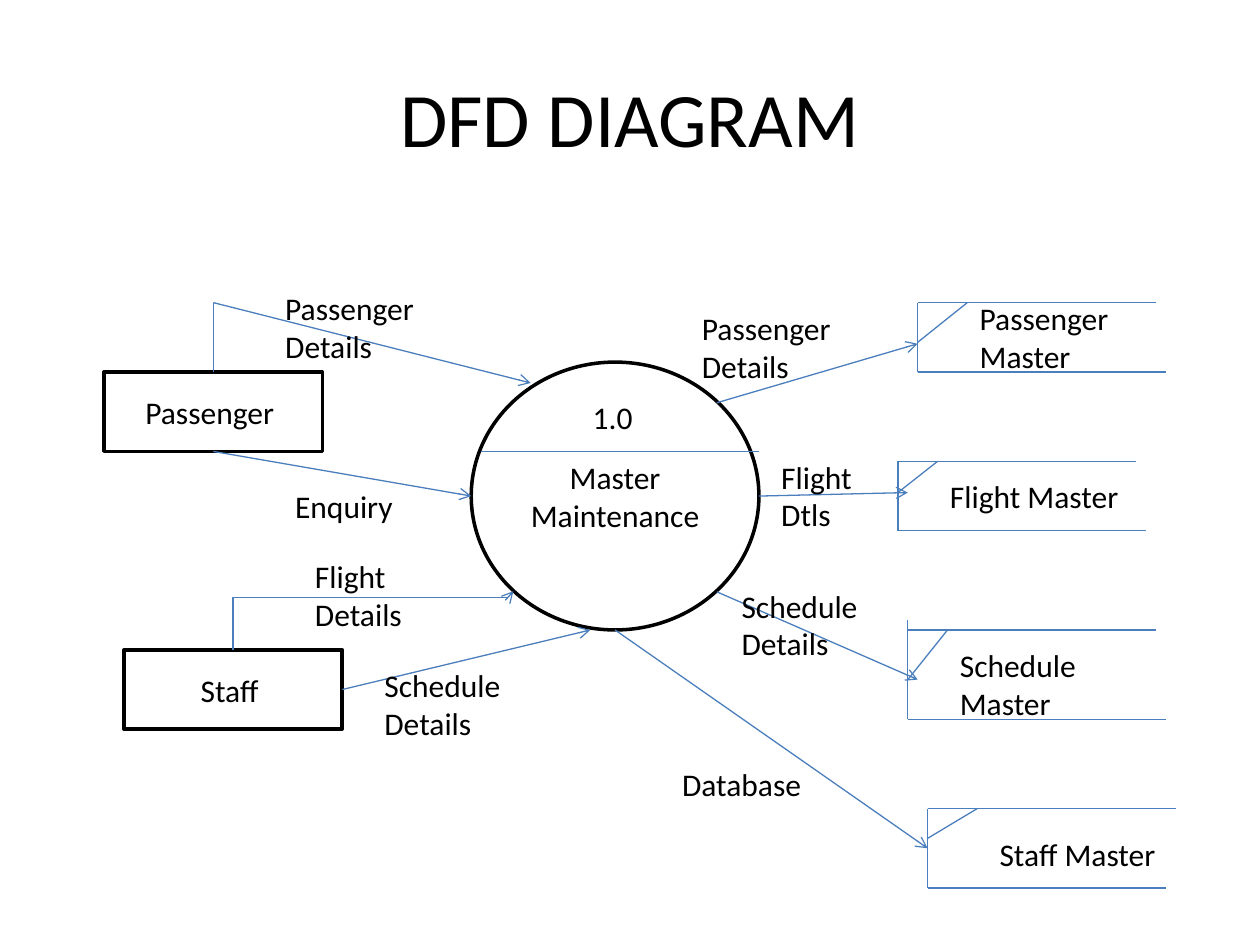
from lxml import etree
from pptx import Presentation
from pptx.dml.color import RGBColor
from pptx.enum.shapes import MSO_CONNECTOR, MSO_SHAPE
from pptx.enum.text import MSO_ANCHOR, PP_ALIGN
from pptx.oxml.ns import qn
from pptx.util import Cm, Pt

STRAIGHT, ELBOW = MSO_CONNECTOR.STRAIGHT, MSO_CONNECTOR.ELBOW
RECTANGLE, OVAL = MSO_SHAPE.RECTANGLE, MSO_SHAPE.OVAL
TOP, MIDDLE = MSO_ANCHOR.TOP, MSO_ANCHOR.MIDDLE
LEFT, CENTER = PP_ALIGN.LEFT, PP_ALIGN.CENTER
SITE_TOP, SITE_BOTTOM, SITE_RIGHT = 0, 2, 3

BLACK = RGBColor(0x00, 0x00, 0x00)
WHITE = RGBColor(0xFF, 0xFF, 0xFF)
BLUE = RGBColor(0x4B, 0x7E, 0xBC)

PASSENGER_BOX = (2.1, 7.5, 4.4, 1.6)
STAFF_BOX = (2.5, 13.1, 4.4, 1.6)
PROCESS_BOX = (9.5, 7.3, 5.8, 5.4)

STORES = [
    ((18.5, 6.1, 5.0, 1.4), 4.8, 0, (1.0, 0.8), (1.0, -0.2, 4.4, 1.8), "Passenger Master"),
    ((18.1, 9.3, 5.0, 1.4), 4.8, 0, (0.8, 0.63), (0.8, 0.2, 4.4, 1.0), "Flight Master"),
    ((18.3, 12.7, 5.2, 1.8), 5.0, 0.2, (0.8, 1.0), (0.8, 0.2, 4.8, 1.8), "Schedule Master"),
    ((18.7, 16.3, 4.8, 1.6), 5.0, 0, (1.0, 0.6), (1.2, 0.4, 4.0, 1.0), "Staff Master"),
]

FLOW_LABELS = [
    ((5.5, 5.7, 4.8, 1.8), "Passenger Details"),
    ((5.7, 9.7, 3.0, 1.0), "Enquiry"),
    ((6.1, 11.1, 3.2, 1.8), "Flight Details"),
    ((7.5, 13.3, 4.0, 1.8), "Schedule\nDetails"),
    ((13.9, 6.1, 4.0, 1.8), "Passenger\nDetails"),
    ((15.5, 9.1, 2.8, 1.8), "Flight Dtls"),
    ((14.7, 11.7, 3.0, 1.8), "Schedule\nDetails"),
    ((13.5, 15.3, 3.6, 1.0), "Database"),
]

STORE_FLOWS = [
    ((14.45, 8.12), (18.5, 6.93)),
    ((15.3, 10.0), (18.3, 9.93)),
    ((14.45, 11.93), (18.5, 13.7)),
    ((12.4, 12.7), (18.7, 17.1)),
]


def write_text(shape, text, size=18, alignment=LEFT, anchor=TOP):
    frame_format = {"word_wrap": True, "vertical_anchor": anchor, "text": text}
    for name, value in frame_format.items():
        setattr(shape.text_frame, name, value)
    for paragraph in shape.text_frame.paragraphs:
        paragraph.alignment = alignment
        for name, value in {"name": "Calibri", "size": Pt(size)}.items():
            setattr(paragraph.font, name, value)
        paragraph.font.color.rgb = BLACK


def add_label(slide, box, text, **text_format):
    label = slide.shapes.add_textbox(*map(Cm, box))
    write_text(label, text, **text_format)


def add_outlined_shape(slide, preset, box, text):
    shape = slide.shapes.add_shape(preset, *map(Cm, box))
    shape.shadow.inherit = False
    shape.fill.solid()
    shape.fill.fore_color.rgb = WHITE
    shape.line.color.rgb = BLACK
    shape.line.width = Pt(2)
    write_text(shape, text, alignment=CENTER, anchor=MIDDLE)
    return shape


def add_line(slide, start, end, arrow=False, kind=STRAIGHT):
    connector = slide.shapes.add_connector(kind, *map(Cm, start + end))
    connector.line.color.rgb = BLUE
    connector.line.width = Pt(0.75)
    properties = connector.element.spPr
    if arrow:
        outline = properties.find(qn("a:ln"))
        etree.SubElement(outline, qn("a:tailEnd"), type="arrow")
    etree.SubElement(properties, qn("a:effectLst"))
    return connector


def add_rising_elbow(slide, start, end, bend):
    center_x, center_y = (start[0] + end[0]) / 2, (start[1] + end[1]) / 2
    half_width, half_height = (start[1] - end[1]) / 2, (end[0] - start[0]) / 2
    connector = add_line(
        slide,
        (center_x + half_width, center_y + half_height),
        (center_x - half_width, center_y - half_height),
        arrow=True,
        kind=ELBOW,
    )
    properties = connector.element.spPr
    properties.find(qn("a:xfrm")).set("rot", "5400000")
    adjustments = properties.find(qn("a:prstGeom")).find(qn("a:avLst"))
    etree.SubElement(adjustments, qn("a:gd"), name="adj1", fmla=f"val {round(bend * 100000)}")


def add_process(slide, box, number, text):
    left, top, width, height = box
    add_outlined_shape(slide, OVAL, box, text)
    divider_y = top + 1.8
    add_line(slide, (left + 0.2, divider_y), (left + width, divider_y))
    add_label(slide, (left + 2.2, top + 0.6, 1.6, 1.8), number)


def add_store(slide, box, top_length, overshoot, corner, text_box, text):
    left, top, width, height = box
    bottom = top + height
    add_line(slide, (left, top - overshoot), (left, bottom))
    add_line(slide, (left, top), (left + top_length, top))
    add_line(slide, (left, bottom), (left + width, bottom))
    add_line(slide, (left, top + corner[1]), (left + corner[0], top))
    offset_x, offset_y, text_width, text_height = text_box
    add_label(slide, (left + offset_x, top + offset_y, text_width, text_height), text)


def add_passenger(slide, box):
    left, top, width, height = box
    middle = left + width / 2
    passenger = add_outlined_shape(slide, RECTANGLE, box, "Passenger ")
    enquiry = add_line(slide, (middle, top + height), (9.5, 10.0), arrow=True)
    enquiry.begin_connect(passenger, SITE_BOTTOM)
    riser = add_line(slide, (middle, top), (middle, top - 1.4))
    riser.begin_connect(passenger, SITE_TOP)
    add_line(slide, (middle, top - 1.4), (10.7, 7.72), arrow=True)


def add_staff(slide, box):
    left, top, width, height = box
    staff = add_outlined_shape(slide, RECTANGLE, box, "Staff ")
    add_rising_elbow(slide, (left + width / 2, top), (10.35, 11.92), 0.89)
    schedule = add_line(slide, (left + width, top + height / 2), (11.9, 12.7), arrow=True)
    schedule.begin_connect(staff, SITE_RIGHT)


def main():
    presentation = Presentation()
    presentation.slide_width, presentation.slide_height = Cm(25.4), Cm(19.05)
    slide = presentation.slides.add_slide(presentation.slide_layouts[6])
    add_label(slide, (1.27, 0.76, 22.86, 3.18), "DFD DIAGRAM",
              size=44, alignment=CENTER, anchor=MIDDLE)
    add_process(slide, PROCESS_BOX, "1.0", "Master\nMaintenance")
    add_passenger(slide, PASSENGER_BOX)
    add_staff(slide, STAFF_BOX)
    for store in STORES:
        add_store(slide, *store)
    for start, end in STORE_FLOWS:
        add_line(slide, start, end, arrow=True)
    for box, text in FLOW_LABELS:
        add_label(slide, box, text)
    presentation.save("out.pptx")


if __name__ == "__main__":
    main()
